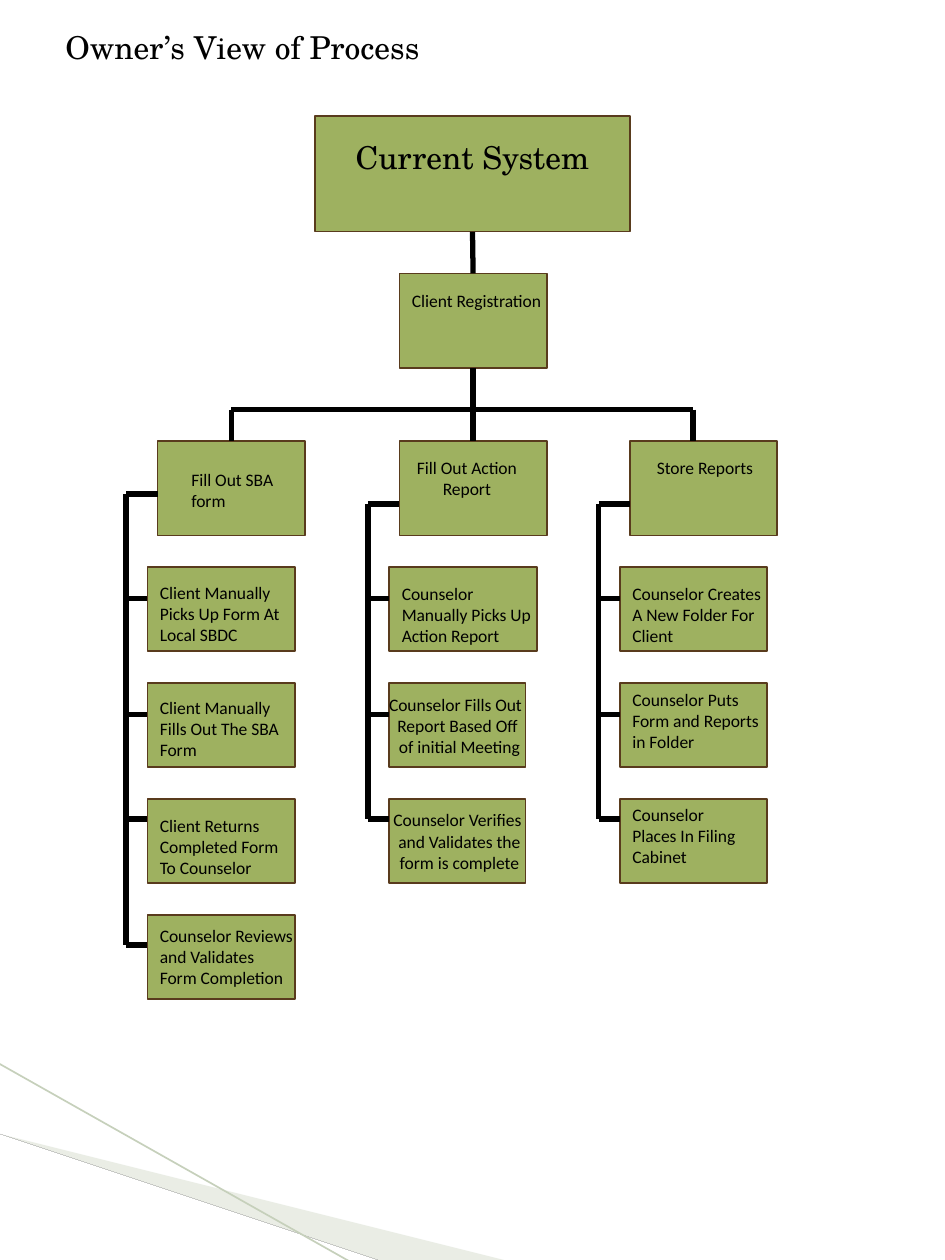
"""Build the owner's view of the current process as a hierarchy chart."""
from typing import NamedTuple, Optional

import lxml.etree
import pptx
import pptx.dml.color
import pptx.enum.shapes
import pptx.enum.text
import pptx.oxml.ns
import pptx.util

Inches = pptx.util.Inches
Align = pptx.enum.text.PP_ALIGN
COLORS = {"box": "9EB160", "edge": "593B1D", "ink": "000000",
          "pale": "CBD4C0", "stripe": "C6D0BB"}
BODY, TITLE = "Calibri", "TeX Gyre Schola"
BUS_Y, STEP_TOP, STEP_PITCH, STEP_INDENT = 3.25, 4.5, 0.92, 0.17
STUB_YS = (4.75, 5.67, 6.5, 7.5)


class Label(NamedTuple):
    text: str
    left: float
    top: float
    width: float
    height: float = 0.44
    align: Align = Align.LEFT
    font: str = BODY
    size: int = 10


class Step(NamedTuple):
    paragraphs: tuple[str, ...]
    label_top: Optional[float] = None
    width: float = 1.17
    align: Align = Align.LEFT
    label_width: float = 1.25


class Column(NamedTuple):
    header_left: float
    spine: float
    branch_y: float
    drop_x: Optional[float]
    header: Label
    steps: tuple[Step, ...]


COLUMNS = (
    Column(1.25, 1, 3.92, None, Label("Fill Out SBA form", 1.42, 3.67, 0.92), (
        Step(("Client Manually Picks Up Form At Local SBDC",), 4.57),
        Step(("Client Manually Fills Out The SBA Form",), 5.48),
        Step(("Client Returns Completed Form To Counselor",), 6.42),
        Step(("Counselor Reviews \nand Validates \nForm Completion",)))),
    Column(3.17, 2.92, 4, None,
           Label("Fill Out Action Report", 3.08, 3.58, 1.25, align=Align.CENTER), (
               Step(("Counselor Manually Picks Up Action Report",), 4.58),
               Step(("Counselor Fills Out \nReport Based Off", " of initial Meeting"),
                    None, 1.08, Align.CENTER),
               Step(("Counselor Verifies", " and Validates the", " form is complete"),
                    None, 1.08, Align.CENTER))),
    Column(5, 4.75, 4, 5.5,
           Label("Store Reports", 4.93, 3.58, 1.33, 0.27, Align.CENTER), (
               Step(("Counselor Creates A New Folder For Client",), 4.58),
               Step(("Counselor Puts Form and Reports in Folder",), 5.42),
               Step(("Counselor Places In Filing Cabinet",), 6.33, label_width=1.08))),
)


def color(name: str) -> pptx.dml.color.RGBColor:
    """Return the named colour."""
    return pptx.dml.color.RGBColor.from_string(COLORS[name])


def write(frame, paragraphs: tuple[str, ...], align: Align, font: str, size: int) -> None:
    """Fill a text frame with paragraphs whose newlines are line breaks."""
    for index, text in enumerate(paragraphs):
        para = frame.add_paragraph() if index else frame.paragraphs[0]
        para.alignment = align
        for number, line in enumerate(text.split("\n")):
            if number:
                para.add_line_break()
            span = para.add_run()
            span.text = line
            span.font.name = font
            span.font.size = pptx.util.Pt(size)
            span.font.color.rgb = color("ink")


def add_label(page, label: Label) -> None:
    """Add a wrapping text box."""
    box = page.shapes.add_textbox(*map(Inches, label[1:5]))
    frame = box.text_frame
    frame.word_wrap = True
    frame.auto_size = pptx.enum.text.MSO_AUTO_SIZE.SHAPE_TO_FIT_TEXT
    write(frame, (label.text,), label.align, label.font, label.size)


def add_box(page, left: float, top: float, width: float, height: float,
            line_width: float = 1):
    """Add a green outlined rectangle."""
    box = page.shapes.add_shape(pptx.enum.shapes.MSO_SHAPE.RECTANGLE,
                                *map(Inches, (left, top, width, height)))
    box.shadow.inherit = False
    box.fill.solid()
    box.fill.fore_color.rgb = color("box")
    box.line.color.rgb = color("edge")
    box.line.width = pptx.util.Pt(line_width)
    return box


def add_line(page, x1: int, y1: int, x2: int, y2: int,
             ink: str = "ink", width: float = 3):
    """Add a straight line without a shadow."""
    line = page.shapes.add_connector(
        pptx.enum.shapes.MSO_CONNECTOR.STRAIGHT, x1, y1, x2, y2)
    line.line.color.rgb = color(ink)
    line.line.width = pptx.util.Pt(width)
    properties = line.element.find(pptx.oxml.ns.qn("p:spPr"))
    lxml.etree.SubElement(properties, pptx.oxml.ns.qn("a:effectLst"))
    return line


def add_wedge(page, points: tuple, ink: str, opacity: int = 100) -> None:
    """Add a borderless polygon."""
    builder = page.shapes.build_freeform(*points[0], scale=Inches(1))
    builder.add_line_segments(points[1:], close=True)
    wedge = builder.convert_to_shape()
    wedge.shadow.inherit = False
    wedge.fill.solid()
    wedge.fill.fore_color.rgb = color(ink)
    wedge.line.fill.background()
    if opacity < 100:
        fill = wedge.element.find(".//" + pptx.oxml.ns.qn("a:srgbClr"))
        alpha = lxml.etree.SubElement(fill, pptx.oxml.ns.qn("a:alpha"))
        alpha.set("val", str(opacity * 1000))


def add_column(page, column: Column, trunk_x: int) -> None:
    """Add one branch with its header, spine, steps and labels."""
    header = add_box(page, column.header_left, 3.5, 1.17, 0.75)
    middle = header.left + header.width // 2
    drop_x = middle if column.drop_x is None else Inches(column.drop_x)
    bus_y, spine = Inches(BUS_Y), Inches(column.spine)
    if abs(drop_x - trunk_x) > Inches(0.1):
        add_line(page, drop_x, bus_y, trunk_x, bus_y)
    drop = add_line(page, drop_x, bus_y, drop_x, header.top)
    if drop_x == middle:
        drop.end_connect(header, 0)
    branch_y = Inches(column.branch_y)
    add_line(page, spine, branch_y, header.left, branch_y)
    add_line(page, spine, branch_y, spine, Inches(STUB_YS[len(column.steps) - 1]))
    add_label(page, column.header)
    left = column.spine + STEP_INDENT
    for index, (step, stub_y) in enumerate(zip(column.steps, STUB_YS)):
        box = add_box(page, left, STEP_TOP + index * STEP_PITCH, step.width, 0.67)
        add_line(page, spine, Inches(stub_y), box.left, Inches(stub_y))
        if step.label_top is None:
            box.text_frame.word_wrap = False
            box.text_frame.vertical_anchor = pptx.enum.text.MSO_ANCHOR.MIDDLE
            write(box.text_frame, step.paragraphs, step.align, BODY, 10)
        else:
            add_label(page, Label(step.paragraphs[0], left, step.label_top,
                                  step.label_width, 0.61))


def main() -> None:
    """Build and save the deck."""
    deck = pptx.Presentation()
    deck.slide_width, deck.slide_height = Inches(7.5), Inches(10)
    page = deck.slides.add_slide(deck.slide_layouts[6])
    add_wedge(page, ((0.41, 8.68), (4.46, 10.01), (3.42, 10.01), (0.41, 8.67)), "pale", 40)
    add_wedge(page, ((0.4, 8.66), (3.43, 10.01), (2.79, 10.02), (0.4, 8.67)), "ink")
    add_line(page, *map(Inches, (-0.01, 8.44, 2.79, 10.02)), "stripe", 0.95)

    system = add_box(page, 2.5, 0.92, 2.5, 0.92, 0.75)
    registration = add_box(page, 3.17, 2.17, 1.17, 0.75)
    trunk_x = registration.left + registration.width // 2
    link = add_line(page, trunk_x, system.top, trunk_x, registration.top)
    link.begin_connect(system, 2)
    link.end_connect(registration, 0)
    trunk = add_line(page, trunk_x, registration.top, trunk_x, Inches(BUS_Y))
    trunk.begin_connect(registration, 2)
    for column in COLUMNS:
        add_column(page, column, trunk_x)

    add_label(page, Label("Owner’s View of Process", 0.42, 0.17, 6.25, 0.4,
                          font=TITLE, size=18))
    add_label(page, Label("Current System", 2.5, 1.05, 2.5, 0.4,
                          Align.CENTER, TITLE, 18))
    add_label(page, Label("Client Registration", 3.17, 2.25, 1.25))
    deck.save("out.pptx")


if __name__ == "__main__":
    main()
